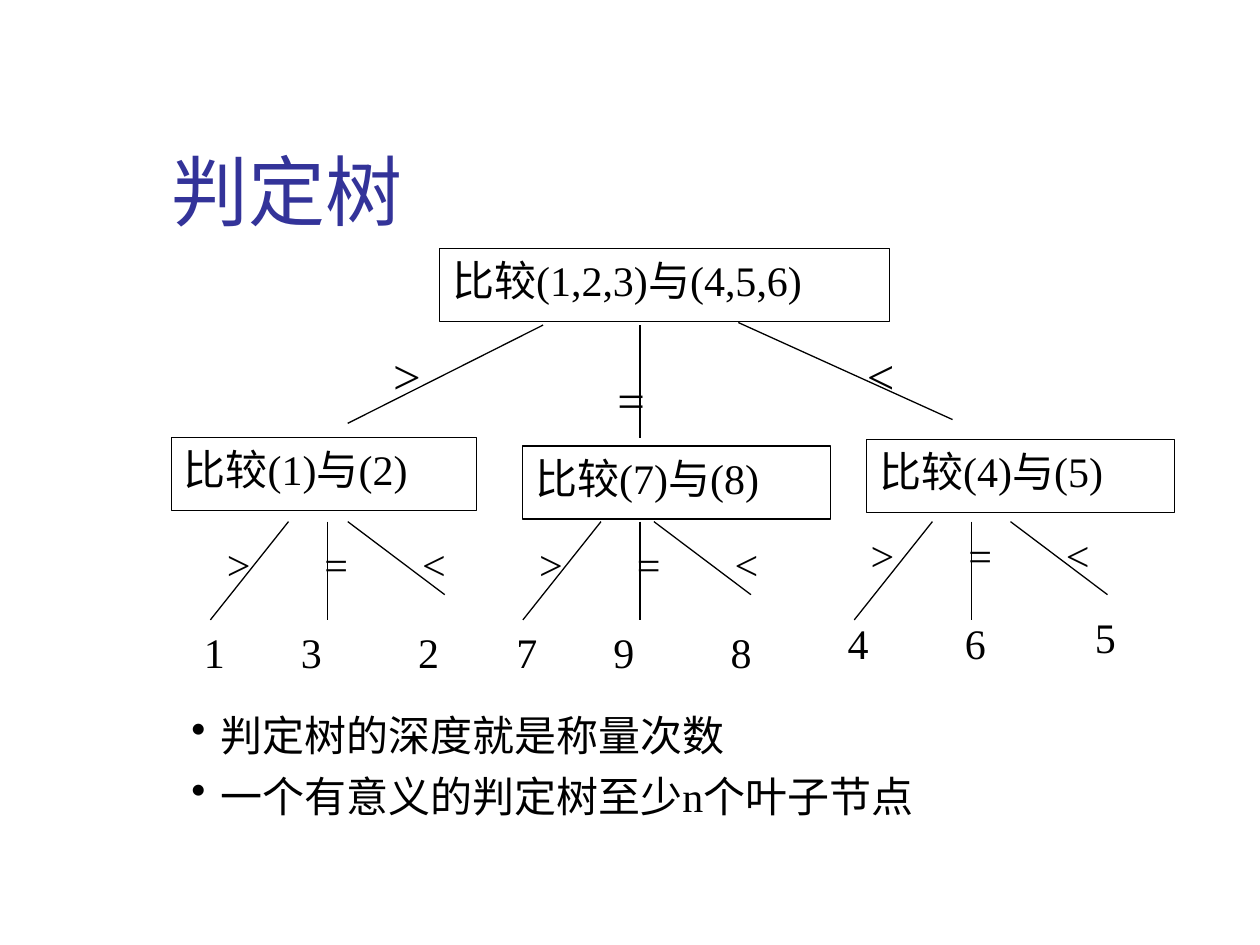
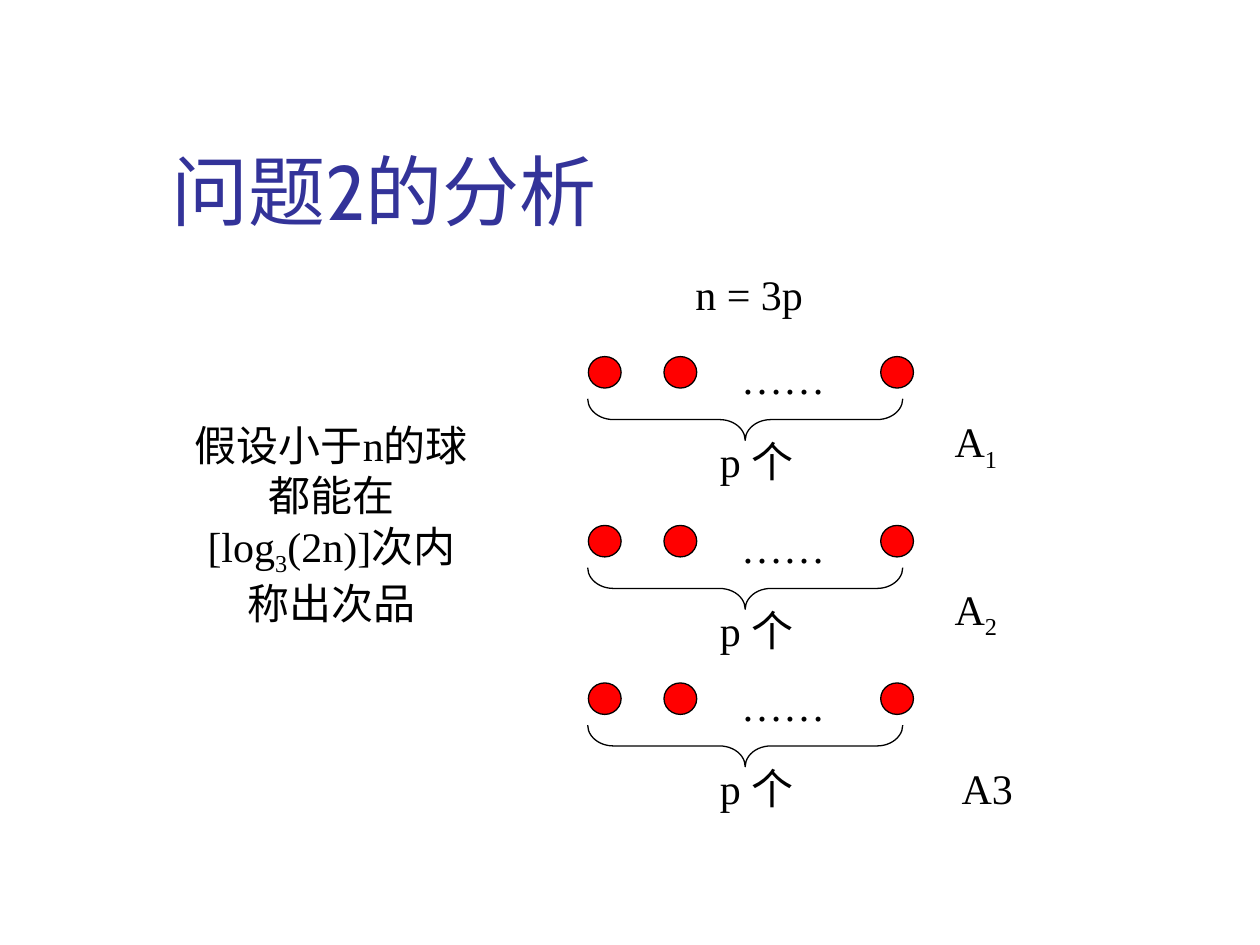
from dataclasses import dataclass

from lxml import etree
from pptx import Presentation
from pptx import util as u
from pptx.dml.color import RGBColor
from pptx.enum import shapes, text
from pptx.oxml import ns

# The page is a grid of 100 columns by 75 rows.
WIDTH, HEIGHT = u.Inches(10), u.Inches(7.5)
COLUMN, ROW = WIDTH / 100, HEIGHT / 75

INK, TITLE_COLOR, BALL_COLOR = "000000", "333399", "FF0000"
BODY_FONT, TITLE_FONT = "Times New Roman", "Cabin"
BODY_SIZE, SIGN_SIZE, TITLE_SIZE = 24, 28, 44
HAIRLINE = u.Pt(0.75)
LEFT, CENTER = text.PP_ALIGN.LEFT, text.PP_ALIGN.CENTER
KIND = shapes.MSO_SHAPE


@dataclass(frozen=True)
class Area:
    column: float
    row: float
    columns: float
    rows: float

    def emu(self) -> tuple[int, ...]:
        return (round(self.column * COLUMN), round(self.row * ROW),
                round(self.columns * COLUMN), round(self.rows * ROW))


@dataclass(frozen=True)
class Leaf:
    label: str
    offset: float
    row: float
    columns: float = 6.2


@dataclass(frozen=True)
class Branch:
    """A second weighing with its three outcomes, placed from its left column."""
    question: str
    area: Area
    column: float
    sign_row: float
    less_offset: float
    leaves: tuple[Leaf, ...]


@dataclass(frozen=True)
class BallRow:
    row: float
    name: tuple[str, ...]
    name_area: Area


BRANCHES = (
    Branch("比较(1)与(2)", Area(13.6, 34.7, 24.2, 5.8), 15.2, 41.4, 12.4,
           (Leaf("1", 0, 49.2, 7.7), Leaf("3", 7.7, 49.2), Leaf("2", 17, 49.2))),
    Branch("比较(7)与(8)", Area(41.5, 35.4, 24.4, 5.8), 40, 41.4, 11.9,
           (Leaf("7", 0, 49.2, 7.7), Leaf("9", 7.7, 49.2), Leaf("8", 17, 49.2))),
    Branch("比较(4)与(5)", Area(68.8, 34.9, 24.4, 5.8), 66.3, 40.7, 13.9,
           (Leaf("4", 0, 48.5, 7.7), Leaf("6", 9.3, 48.5), Leaf("5", 19.6, 48))),
)
ROOT_LINES = ((43.1, 25.8, 27.6, 33.6), (50.8, 25.8, 50.8, 34.8), (58.6, 25.6, 75.6, 33.3))
ROOT_SIGNS = ((">", 29.1, 25.8), ("=", 46.9, 27.7), ("<", 66.7, 25.8))
BULLETS = ("判定树的深度就是称量次数", "一个有意义的判定树至少n个叶子节点")
BALL_ROWS = (
    BallRow(28.3, ("A", "1"), Area(68.3, 32.5, 18.3, 5.6)),
    BallRow(41.7, ("A", "2"), Area(68.3, 45.8, 18.3, 5.6)),
    BallRow(54.2, ("A3",), Area(69.2, 60, 18.3, 5)),
)
BALL_COLUMNS = (46.7, 52.7, 69.9)


def color(value: str) -> RGBColor:
    return RGBColor.from_string(value)


def write(para, *spans: str, font: str = BODY_FONT, size: float = BODY_SIZE,
          ink: str = INK, align=LEFT) -> None:
    """Fill a paragraph; every second span is a subscript."""
    para.alignment = align
    for index, words in enumerate(spans):
        span = para.add_run()
        span.text = words
        span.font.name, span.font.size = font, u.Pt(size)
        span.font.color.rgb = color(ink)
        if index % 2:
            span.font._element.set("baseline", "-25000")


def add_text(page, area: Area, *spans: str, **style):
    box = page.shapes.add_textbox(*area.emu())
    box.text_frame.word_wrap = True
    write(box.text_frame.paragraphs[0], *spans, **style)
    return box


def add_shape(page, kind, area: Area, *spans: str, fill: str = "",
              outline: bool = True, **style):
    shape = page.shapes.add_shape(kind, *area.emu())
    shape.shadow.inherit = False
    if fill:
        shape.fill.solid()
        shape.fill.fore_color.rgb = color(fill)
    else:
        shape.fill.background()
    if outline:
        shape.line.color.rgb, shape.line.width = color(INK), HAIRLINE
    else:
        shape.line.fill.background()
    if spans:
        shape.text_frame.vertical_anchor = text.MSO_ANCHOR.TOP
        write(shape.text_frame.paragraphs[0], *spans, **style)
    return shape


def add_line(page, x1: float, y1: float, x2: float, y2: float) -> None:
    line = page.shapes.add_connector(
        shapes.MSO_CONNECTOR.STRAIGHT, round(x1 * COLUMN), round(y1 * ROW),
        round(x2 * COLUMN), round(y2 * ROW))
    line.line.color.rgb, line.line.width = color(INK), HAIRLINE
    etree.SubElement(line._element.spPr, ns.qn("a:effectLst"))


def add_page(deck, title: str):
    page = deck.slides.add_slide(deck.slide_layouts[5])
    box = page.shapes.title
    box.left, box.top, box.width, box.height = Area(12.6, 6.7, 85.2, 12.5).emu()
    frame = box.text_frame
    frame.auto_size = text.MSO_AUTO_SIZE.NONE
    frame.vertical_anchor = text.MSO_ANCHOR.BOTTOM
    write(frame.paragraphs[0], title, font=TITLE_FONT, size=TITLE_SIZE, ink=TITLE_COLOR)
    return page


def add_bullet(para) -> None:
    properties = para._p.get_or_add_pPr()
    properties.set("marL", str(u.Inches(0.23)))
    properties.set("indent", str(-u.Inches(0.23)))
    etree.SubElement(properties, ns.qn("a:buChar"), char="•")


def draw_branch(page, branch: Branch) -> None:
    left = branch.column
    add_shape(page, KIND.RECTANGLE, branch.area, branch.question)
    less = left + branch.less_offset
    for line in ((left + 7.7, 41.4, left + 1.5, 49.2),
                 (left + 10.8, 41.4, left + 10.8, 49.2),
                 (less, 41.4, less + 7.7, 47.2)):
        add_line(page, *line)
    for index, sign in enumerate(">=<"):
        add_shape(page, KIND.OVAL, Area(left + 7.75 * index, branch.sign_row, 12.4, 5.8),
                  sign, outline=False)
    for leaf in branch.leaves:
        add_text(page, Area(left + leaf.offset, leaf.row, leaf.columns, 5.8), leaf.label)


def draw_decision_tree(deck) -> None:
    page = add_page(deck, "判定树")
    add_shape(page, KIND.RECTANGLE, Area(34.9, 19.7, 35.7, 5.8), "比较(1,2,3)与(4,5,6)")
    for line in ROOT_LINES:
        add_line(page, *line)
    for sign, column, row in ROOT_SIGNS:
        add_shape(page, KIND.OVAL, Area(column, row, 7.7, 7.8), sign,
                  outline=False, size=SIGN_SIZE)
    for branch in BRANCHES:
        draw_branch(page, branch)

    first, second = BULLETS
    frame = add_text(page, Area(14.2, 55.8, 77.5, 15.9), first).text_frame
    para = frame.add_paragraph()
    para.space_before = u.Pt(6)
    write(para, second)
    for para in frame.paragraphs:
        add_bullet(para)


def draw_ball_row(page, balls: BallRow) -> None:
    for column in BALL_COLUMNS:
        add_shape(page, KIND.OVAL, Area(column, balls.row, 2.6, 2.5), fill=BALL_COLOR)
    add_text(page, Area(57, balls.row - 0.8, 10.3, 5), "……", align=CENTER)
    brace = add_shape(page, KIND.LEFT_BRACE, Area(57.5, balls.row - 7.5, 3.3, 25))
    brace.rotation = 270
    brace.adjustments[0] = 0.62
    add_text(page, Area(55.3, balls.row + 5.8, 9.5, 5), "p 个", align=CENTER)
    add_text(page, balls.name_area, *balls.name, align=CENTER)


def draw_analysis(deck) -> None:
    page = add_page(deck, "问题2的分析")
    add_text(page, Area(54.2, 20.8, 11.7, 5), "n = 3p")
    for balls in BALL_ROWS:
        draw_ball_row(page, balls)
    add_text(page, Area(14.2, 32.8, 24.2, 17.6),
             "假设小于n的球都能在[log", "3", "(2n)]次内称出次品", align=CENTER)


def main() -> None:
    deck = Presentation()
    deck.slide_width, deck.slide_height = WIDTH, HEIGHT
    draw_decision_tree(deck)
    draw_analysis(deck)
    deck.save("out.pptx")


if __name__ == "__main__":
    main()
